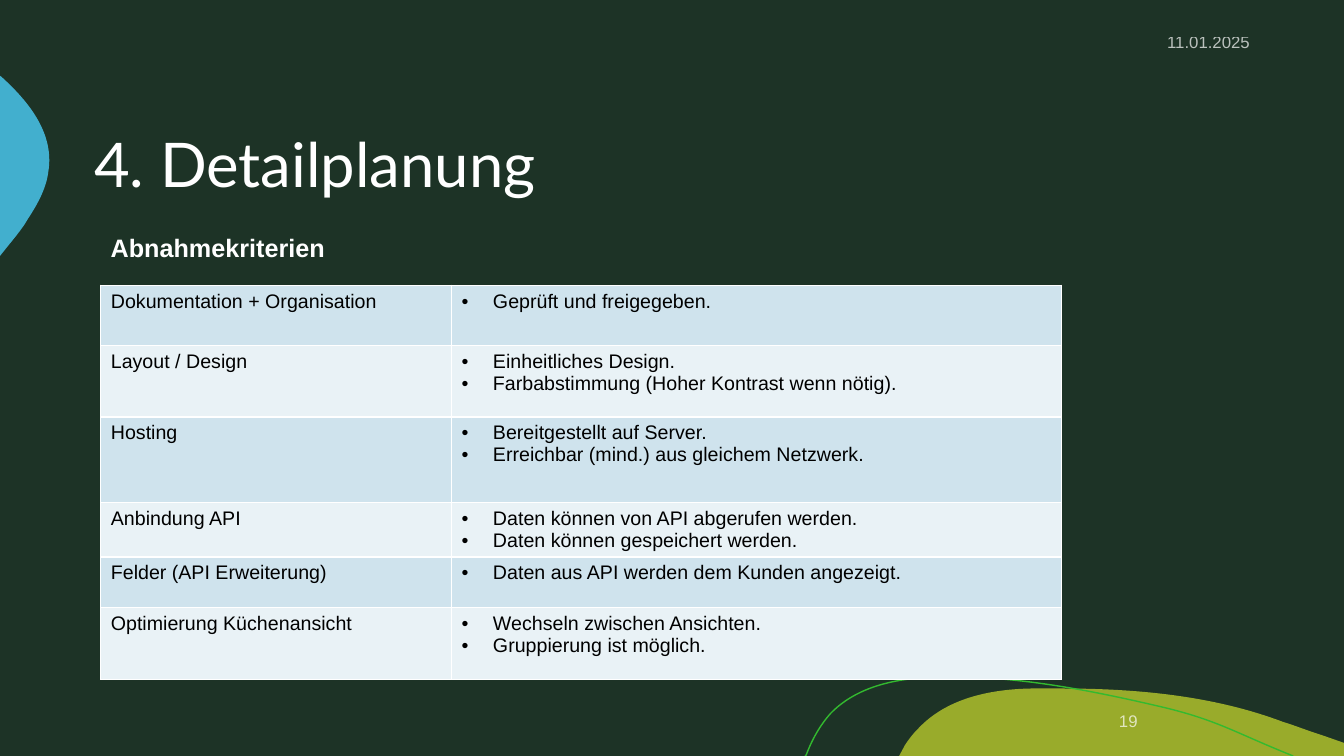
from dataclasses import dataclass

import lxml.etree
import pptx
import pptx.dml.color
import pptx.enum.text
import pptx.oxml.ns
import pptx.util

Cm = pptx.util.Cm
Align = pptx.enum.text.PP_ALIGN
Anchor = pptx.enum.text.MSO_ANCHOR
Point = tuple[float, float]

COLORS = {
    "background": "1D3326",
    "olive": "99AB2B",
    "blue": "42AFCE",
    "green": "33BA2F",
    "white": "FFFFFF",
    "black": "000000",
    "band_dark": "CFE3ED",
    "band_light": "E9F2F6",
}
BULLET_INDENT = Cm(0.79)
CELL_BOTTOM_MARGIN = Cm(0.05)


@dataclass
class Blob:
    start: Point
    segments: list[tuple[Point, ...]]
    fill: str | None = None
    line: str | None = None


@dataclass
class Label:
    text: str
    box: tuple[float, float, float, float]
    size: float
    font: str = "Arial"
    bold: bool = False
    align: Align = Align.LEFT
    anchor: Anchor = Anchor.MIDDLE
    line_spacing: float = 1.0
    opacity: int = 100


@dataclass
class Criterion:
    topic: str
    checks: list[str]
    height: float


BLOBS = [
    Blob((26.77, 17.35), [
        ((28.65, 17.35), (30.58, 17.53), (32.33, 18.19)),
        ((32.66, 18.29), (32.97, 18.42), (33.3, 18.52)),
        ((33.87, 18.72),), ((33.87, 19.05),), ((22.66, 19.05),), ((22.81, 18.77),),
        ((22.91, 18.62), (23.01, 18.49), (23.14, 18.36)),
        ((23.85, 17.6), (24.94, 17.37), (25.98, 17.35)),
        ((26.24, 17.35), (26.49, 17.35), (26.77, 17.35)),
    ], fill="olive"),
    Blob((0, 1.91), [
        ((0.03, 1.93),),
        ((0.76, 2.59), (1.37, 3.38), (1.22, 4.32)),
        ((1.17, 4.75), (0.94, 5.16), (0.69, 5.54)),
        ((0.61, 5.69), (0.43, 5.92), (0.2, 6.2)),
        ((0, 6.45),),
    ], fill="blue"),
    Blob((20.29, 19.05), [
        ((20.32, 19.02),),
        ((20.47, 18.62), (20.68, 18.26), (20.93, 17.98)),
        ((21.59, 17.3), (22.58, 17.09), (23.52, 17.07)),
        ((24.26, 17.07),),
        ((25.96, 17.07), (27.94, 17.5), (29.34, 17.83)),
        ((30.71, 18.16), (31.14, 18.47), (32.59, 19.05)),
    ], line="green"),
]

LABELS = [
    Label("4. Detailplanung", (2.12, 2.11, 29.64, 4.24), 44, font="Lato", line_spacing=0.9),
    Label("11.01.2025", (26.09, 0.55, 5.66, 1.02), 12, align=Align.RIGHT, opacity=70),
    Label("19", (24.68, 17.65, 4.24, 1.02), 12, align=Align.RIGHT, opacity=70),
]
HEADING = Label("Abnahmekriterien", (2.54, 5.74, 16.38, 1.02), 18, bold=True, anchor=Anchor.TOP)

CRITERIA = [
    Criterion("Dokumentation + Organisation", ["Geprüft und freigegeben."], 1.52),
    Criterion("Layout / Design", ["Einheitliches Design.", "Farbabstimmung (Hoher Kontrast wenn nötig)."], 1.8),
    Criterion("Hosting", ["Bereitgestellt auf Server.", "Erreichbar (mind.) aus gleichem Netzwerk."], 2.16),
    Criterion("Anbindung API", ["Daten können von API abgerufen werden.", "Daten können gespeichert werden."], 1.19),
    Criterion("Felder (API Erweiterung)", ["Daten aus API werden dem Kunden angezeigt."], 1.28),
    Criterion("Optimierung Küchenansicht", ["Wechseln zwischen Ansichten.", "Gruppierung ist möglich."], 1.8),
]
COLUMN_WIDTHS = (8.84, 15.37)


def rgb(name: str) -> pptx.dml.color.RGBColor:
    return pptx.dml.color.RGBColor.from_string(COLORS[name])


def add_child(parent, tag: str, **attributes: str):
    return lxml.etree.SubElement(parent, pptx.oxml.ns.qn(tag), attributes)


def style_font(font, name: str, size: float, color: str, bold: bool = False) -> None:
    font.name = name
    font.size = pptx.util.Pt(size)
    font.bold = bold
    font.color.rgb = rgb(color)


def bend_segments(shape, segments: list[tuple[Point, ...]]) -> None:
    lines = shape._element.xpath(".//a:lnTo")
    for line, segment in zip(lines, segments):
        if len(segment) == 1:
            continue
        line.tag = pptx.oxml.ns.qn("a:cubicBezTo")
        line.remove(line[0])
        for x, y in segment:
            add_child(line, "a:pt", x=str(Cm(x) - shape.left), y=str(Cm(y) - shape.top))


def draw_blob(slide, blob: Blob) -> None:
    builder = slide.shapes.build_freeform(*map(Cm, blob.start))
    ends = [(Cm(x), Cm(y)) for *_, (x, y) in blob.segments]
    builder.add_line_segments(ends, close=blob.fill is not None)
    shape = builder.convert_to_shape()
    bend_segments(shape, blob.segments)
    shape.shadow.inherit = False
    if blob.fill:
        shape.fill.solid()
        shape.fill.fore_color.rgb = rgb(blob.fill)
    else:
        shape.fill.background()
    if blob.line:
        shape.line.color.rgb = rgb(blob.line)
        shape.line.width = pptx.util.Pt(1)
    else:
        shape.line.fill.background()


def draw_label(slide, label: Label) -> None:
    frame = slide.shapes.add_textbox(*map(Cm, label.box)).text_frame
    frame.word_wrap = True
    frame.vertical_anchor = label.anchor
    paragraph = frame.paragraphs[0]
    paragraph.text = label.text
    paragraph.alignment = label.align
    paragraph.line_spacing = label.line_spacing
    style_font(paragraph.font, label.font, label.size, "white", label.bold)
    if label.opacity < 100:
        for color in paragraph._p.xpath(".//a:srgbClr"):
            add_child(color, "a:alpha", val=str(label.opacity * 1000))


def fill_cell(cell, lines: list[str], fill: str, bulleted: bool) -> None:
    cell.text = "\n".join(lines)
    cell.margin_bottom = CELL_BOTTOM_MARGIN
    for paragraph in cell.text_frame.paragraphs:
        if bulleted:
            properties = paragraph._p.get_or_add_pPr()
            properties.set("marL", str(BULLET_INDENT))
            properties.set("indent", str(-BULLET_INDENT))
            add_child(properties, "a:buFont", typeface="Arial")
            add_child(properties, "a:buChar", char="•")
        style_font(paragraph.font, "Arial", 14, "black")
    cell_properties = cell._tc.get_or_add_tcPr()
    for side in ("L", "R", "T", "B"):
        border = add_child(cell_properties, f"a:ln{side}", w=str(pptx.util.Pt(1)))
        add_child(add_child(border, "a:solidFill"), "a:srgbClr", val=COLORS["white"])
    cell.fill.solid()
    cell.fill.fore_color.rgb = rgb(fill)


def draw_criteria(slide) -> None:
    height = sum(criterion.height for criterion in CRITERIA)
    table = slide.shapes.add_table(
        len(CRITERIA), len(COLUMN_WIDTHS), Cm(2.54), Cm(7.19), Cm(sum(COLUMN_WIDTHS)), Cm(height)
    ).table
    table.first_row = False
    table.horz_banding = False
    for column, width in zip(table.columns, COLUMN_WIDTHS):
        column.width = Cm(width)
    for index, criterion in enumerate(CRITERIA):
        table.rows[index].height = Cm(criterion.height)
        fill = "band_light" if index % 2 else "band_dark"
        fill_cell(table.cell(index, 0), [criterion.topic], fill, bulleted=False)
        fill_cell(table.cell(index, 1), criterion.checks, fill, bulleted=True)


def main() -> None:
    presentation = pptx.Presentation()
    presentation.slide_width = Cm(33.87)
    presentation.slide_height = Cm(19.05)
    slide = presentation.slides.add_slide(presentation.slide_layouts[6])
    slide.background.fill.solid()
    slide.background.fill.fore_color.rgb = rgb("background")
    for blob in BLOBS:
        draw_blob(slide, blob)
    for label in LABELS:
        draw_label(slide, label)
    draw_criteria(slide)
    draw_label(slide, HEADING)
    presentation.save("out.pptx")


if __name__ == "__main__":
    main()
